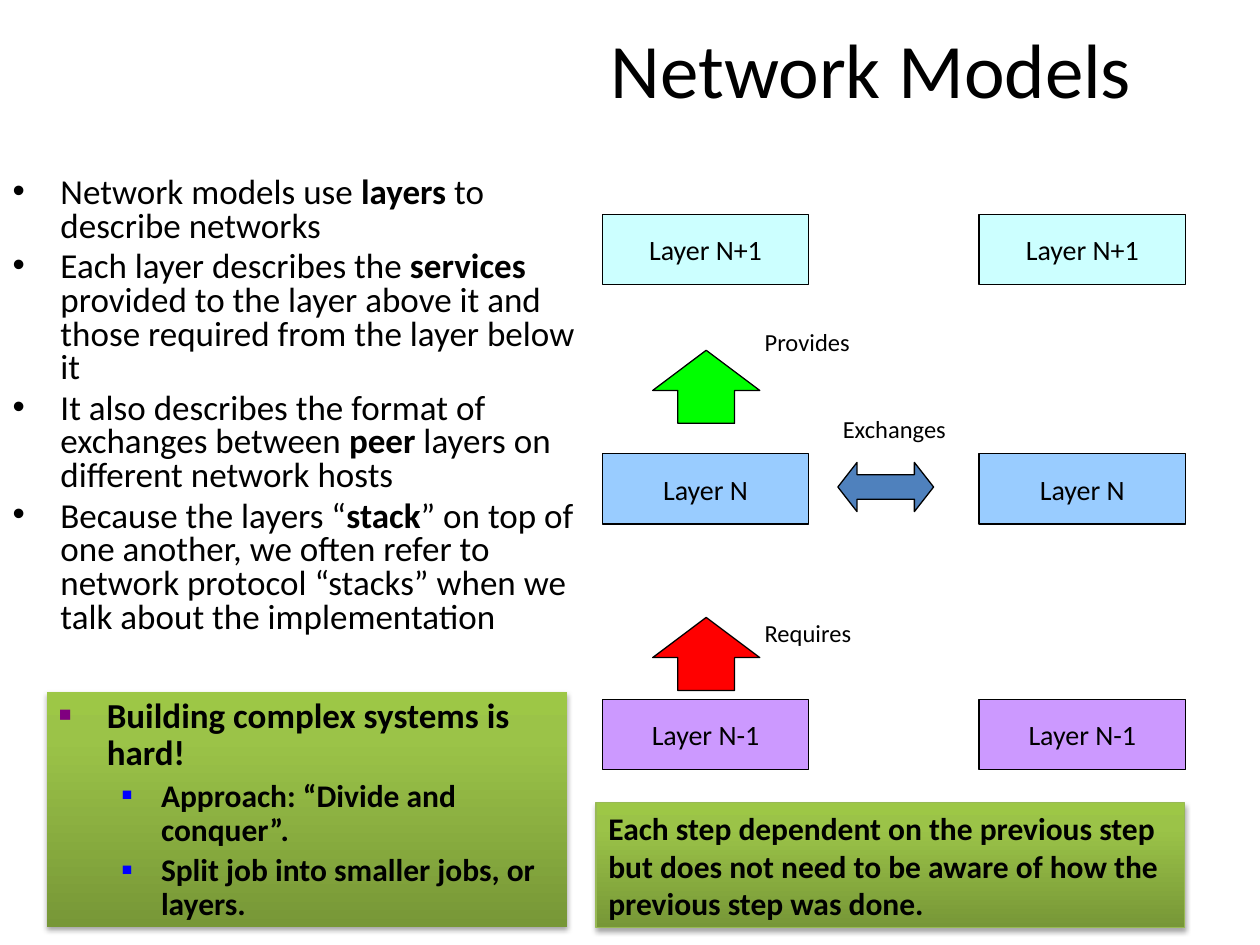
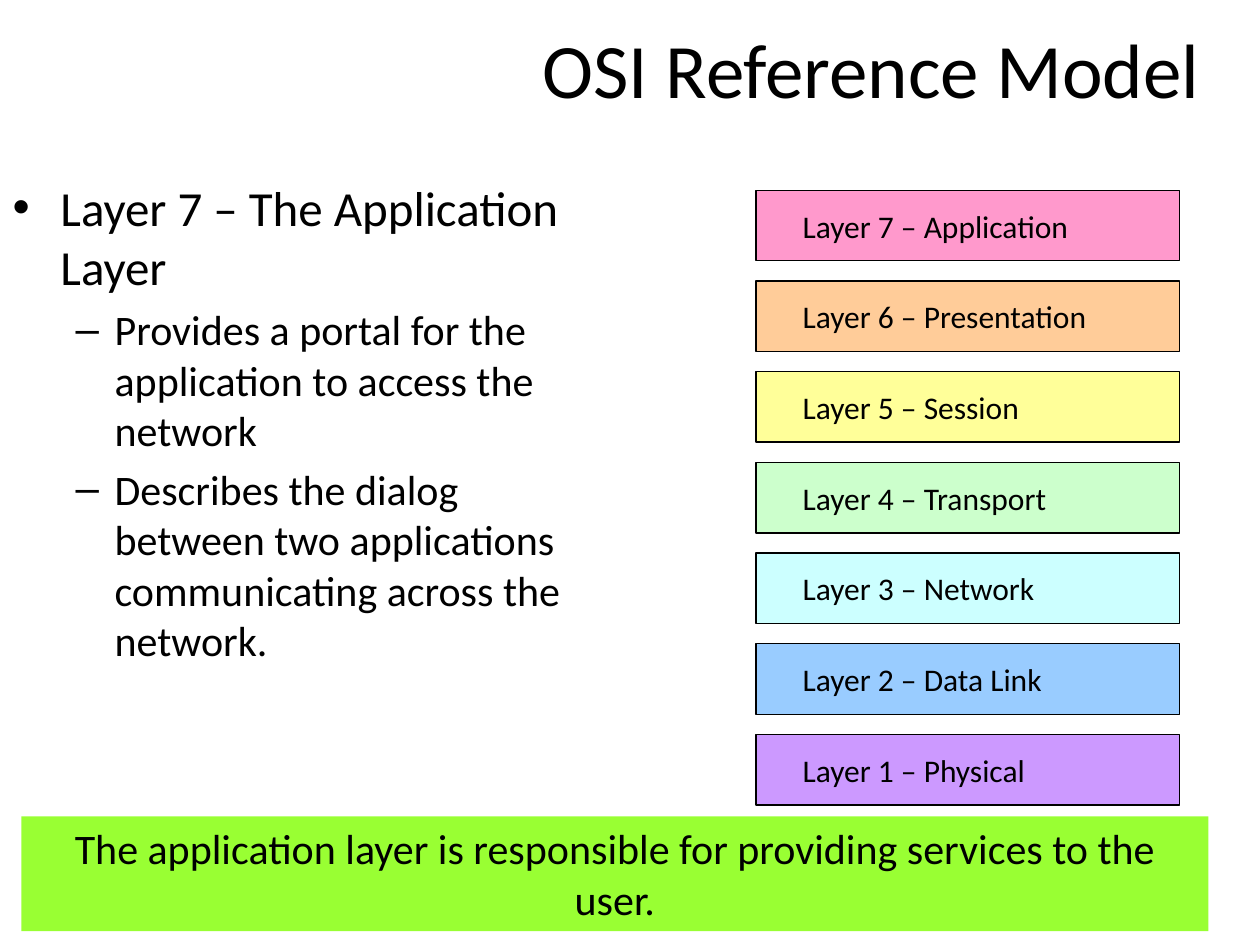
from dataclasses import dataclass

from lxml import etree
from pptx import Presentation
from pptx import util as u
from pptx.dml.color import RGBColor
from pptx.enum import shapes, text
from pptx.oxml import ns

MODELS_TITLE = "Network Models"
MODELS_POINTS = [
    (0, "Network models use *layers* to describe networks"),
    (0, "Each layer describes the *services* provided to the layer above it "
        "and those required from the layer below it"),
    (0, "It also describes the format of exchanges between *peer* layers on "
        "different network hosts"),
    (0, "Because the layers “*stack*” on top of one another, we often refer to "
        "network protocol “stacks” when we talk about the implementation"),
]
STACK_LEFTS = [478, 777]
STACK_LAYERS = [
    ("Layer N+1", "CCFFFF", 170),
    ("Layer N", "99CCFF", 360),
    ("Layer N-1", "CC99FF", 555),
]
ARROWS = [
    ("UP_ARROW", (518, 278, 85, 58), "00FF00", (0.53, 0.55)),
    ("UP_ARROW", (518, 490, 85, 58), "FF0000", (0.53, 0.55)),
    ("LEFT_RIGHT_ARROW", (665, 367, 76, 39), "4F81BD", (0.5, 0.39)),
]
ARROW_LABELS = [
    ("Provides", (597, 255, 132, 33)),
    ("Requires", (597, 486, 110, 33)),
    ("Exchanges", (659, 324, 161, 33)),
]
APPROACH_BOX = (37, 549, 413, 187)
APPROACH_POINTS = [
    (0, "*Building complex systems is hard!*"),
    (1, "*Approach: “Divide and conquer”.*"),
    (1, "*Split job into smaller jobs, or layers.*"),
]
STEP_BOX = (473, 637, 467, 99)
STEP_NOTE = ("*Each step dependent on the previous step but does not need to be "
             "aware of how the previous step was done.*")

OSI_TITLE = "OSI Reference Model"
OSI_POINTS = [
    (0, "Layer 7 – The Application Layer"),
    (1, "Provides a portal for the application to access the network"),
    (1, "Describes the dialog between two applications communicating across "
        "the network."),
]
OSI_LAYERS = [
    ("Application", "FF99CC"),
    ("Presentation", "FFCC99"),
    ("Session", "FFFF99"),
    ("Transport", "CCFFCC"),
    ("Network", "CCFFFF"),
    ("Data Link", "99CCFF"),
    ("Physical", "CC99FF"),
]
OSI_TOP, OSI_PITCH = 151, 72
BANNER_BOX = (17, 648, 942, 91)
BANNER = "The application layer is responsible for providing services to the user."


@dataclass(frozen=True)
class Theme:
    font: str = "Calibri"
    ink: str = "000000"
    banner: str = "99FF33"
    box_line: str = "98B955"
    gradient: tuple = ((0, "779737"), (80, "9BC348"), (100, "9DC746"))
    title_size: int = 44
    banner_size: int = 24
    note_size: int = 18
    layer_size: int = 16
    label_size: int = 14
    line_width: float = 0.75
    title_box: tuple = (383, 0, 617, 108)
    body_box: tuple = (0, 136, 475, 557)
    indents: tuple = ((38, -38), (81, -31))
    body_bullets: tuple = (("•", None, 100), ("–", None, 100))
    square_bullets: tuple = (("■", "800080", 60), ("■", "0000FF", 55))


THEME = Theme()
EMU_PER_PX = 9144
LAYER_HEIGHT = 56


def px(length):
    return u.Emu(length * EMU_PER_PX)


def box_emu(box):
    return [px(length) for length in box]


def add_xml(parent, tag, **attributes):
    element = etree.SubElement(parent, ns.qn(tag))
    for name, value in attributes.items():
        element.set(name, str(value))
    return element


def add_bullet(paragraph, level, bullet):
    character, color, percent = bullet
    margin, indent = THEME.indents[level]
    properties = paragraph._p.get_or_add_pPr()
    properties.set("marL", str(px(margin)))
    properties.set("indent", str(px(indent)))
    if color:
        add_xml(add_xml(properties, "a:buClr"), "a:srgbClr", val=color)
    add_xml(properties, "a:buSzPct", val=percent * 1000)
    add_xml(properties, "a:buFont", typeface="Arial")
    add_xml(properties, "a:buChar", char=character)


def write(shape, items, sizes, bullets=None, align="LEFT", anchor="TOP",
          spacing=1.0, left_margin=10):
    if isinstance(items, str):
        items = [(0, items)]
    frame = shape.text_frame
    frame.word_wrap = True
    frame.auto_size = text.MSO_AUTO_SIZE.NONE
    frame.vertical_anchor = text.MSO_ANCHOR[anchor]
    frame.margin_left = px(left_margin)
    for index, (level, content) in enumerate(items):
        paragraph = frame.add_paragraph() if index else frame.paragraphs[0]
        size = sizes[level]
        paragraph.level = level
        if bullets:
            add_bullet(paragraph, level, bullets[level])
        paragraph.alignment = text.PP_ALIGN[align]
        paragraph.line_spacing = spacing
        paragraph.space_before = u.Pt(size * 0.2 if index else 0)
        for part, words in enumerate(content.split("*")):
            if words:
                run = paragraph.add_run()
                run.text = words
                run.font.name = THEME.font
                run.font.size = u.Pt(size)
                run.font.bold = part % 2 == 1
                run.font.color.rgb = RGBColor.from_string(THEME.ink)


def add_box(slide, box, fill=None, line=None, kind="RECTANGLE"):
    shape = slide.shapes.add_shape(shapes.MSO_SHAPE[kind], *box_emu(box))
    shape.shadow.inherit = False
    if fill:
        shape.fill.solid()
        shape.fill.fore_color.rgb = RGBColor.from_string(fill)
    if line:
        shape.line.color.rgb = RGBColor.from_string(line)
        shape.line.width = u.Pt(THEME.line_width)
    else:
        shape.line.fill.background()
    return shape


def add_green_box(slide, box, line=None):
    shape = add_box(slide, box, line=line)
    properties = shape._element.spPr
    gradient = add_xml(properties, "a:gradFill", rotWithShape=1)
    stops = add_xml(gradient, "a:gsLst")
    for position, color in THEME.gradient:
        stop = add_xml(stops, "a:gs", pos=position * 1000)
        add_xml(stop, "a:srgbClr", val=color)
    add_xml(gradient, "a:lin", ang=270 * 60000, scaled=0)
    properties.find(ns.qn("a:prstGeom")).addnext(gradient)
    shadow = add_xml(properties.find(ns.qn("a:effectLst")), "a:outerShdw",
                     blurRad=u.Pt(3.1), dist=u.Pt(1.8), dir=90 * 60000,
                     rotWithShape=0)
    shade = add_xml(shadow, "a:srgbClr", val=THEME.ink)
    add_xml(shade, "a:alpha", val=35000)
    return shape


def place(shape, box):
    shape.left, shape.top, shape.width, shape.height = box_emu(box)


def add_slide(presentation, title, points, sizes, spacing=1.0):
    slide = presentation.slides.add_slide(presentation.slide_layouts[1])
    heading, body = slide.placeholders
    place(heading, THEME.title_box)
    place(body, THEME.body_box)
    write(heading, title, [THEME.title_size], align="CENTER", anchor="MIDDLE")
    write(body, points, sizes, bullets=THEME.body_bullets, spacing=spacing)
    return slide


def build_models(presentation):
    slide = add_slide(presentation, MODELS_TITLE, MODELS_POINTS, [20], 0.8)
    for left in STACK_LEFTS:
        for name, color, top in STACK_LAYERS:
            layer = add_box(slide, (left, top, 164, LAYER_HEIGHT), color, THEME.ink)
            write(layer, name, [THEME.layer_size], align="CENTER", anchor="MIDDLE")
    for kind, box, color, adjustments in ARROWS:
        arrow = add_box(slide, box, color, THEME.ink, kind)
        for index, value in enumerate(adjustments):
            arrow.adjustments[index] = value
    for label, box in ARROW_LABELS:
        write(slide.shapes.add_textbox(*box_emu(box)), label, [THEME.label_size])
    write(add_green_box(slide, APPROACH_BOX), APPROACH_POINTS, [20, 18],
          bullets=THEME.square_bullets, spacing=0.9)
    write(add_green_box(slide, STEP_BOX, THEME.box_line), STEP_NOTE,
          [THEME.note_size])


def build_osi(presentation):
    slide = add_slide(presentation, OSI_TITLE, OSI_POINTS, [28, 24])
    for index, (name, color) in enumerate(OSI_LAYERS):
        box = (600, OSI_TOP + index * OSI_PITCH, 336, LAYER_HEIGHT)
        layer = add_box(slide, box, color, THEME.ink)
        write(layer, f"Layer {len(OSI_LAYERS) - index} – {name}",
              [THEME.note_size], anchor="MIDDLE", left_margin=37)
    write(add_box(slide, BANNER_BOX, THEME.banner), BANNER,
          [THEME.banner_size], align="CENTER")


def main():
    presentation = Presentation()
    presentation.slide_width, presentation.slide_height = px(1000), px(750)
    build_models(presentation)
    build_osi(presentation)
    presentation.save("out.pptx")


if __name__ == "__main__":
    main()
